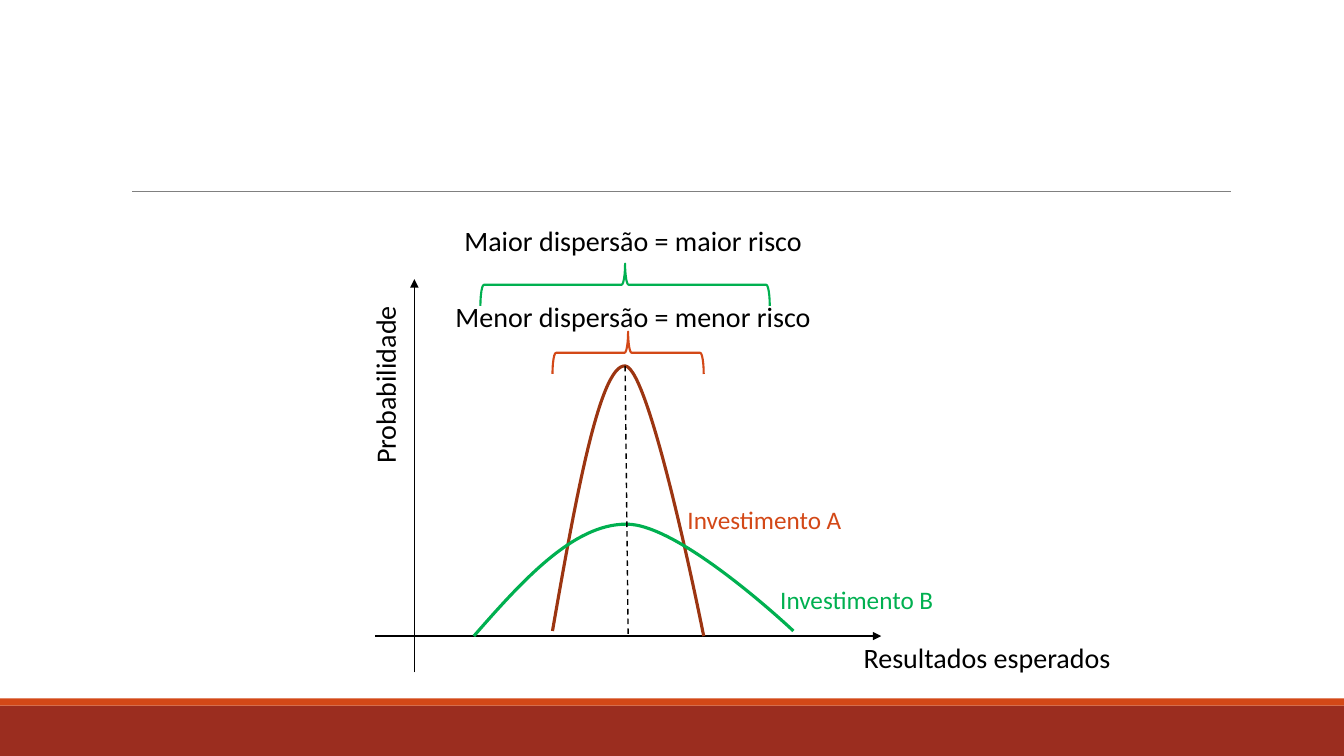
from dataclasses import dataclass

from pptx import Presentation
from pptx.dml.color import RGBColor
from pptx.enum.dml import MSO_LINE
from pptx.enum.shapes import MSO_CONNECTOR, MSO_SHAPE
from pptx.enum.text import MSO_AUTO_SIZE, PP_ALIGN
from pptx.oxml.ns import qn
from pptx.util import Inches, Pt
from lxml.etree import SubElement


@dataclass(frozen=True)
class Theme:
    font: str = "Calibri"
    ink: str = "000000"
    rule: str = "808080"
    band: str = "9B2D1F"
    accent: str = "D34817"
    steep: str = "9C3511"
    green: str = "00B050"
    label: int = 20
    small: int = 18
    thin: float = 0.5
    axis: float = 1
    brace: float = 1.5
    curve: float = 2.25


class Canvas:
    def __init__(self, slide, theme):
        self.shapes = slide.shapes
        self.theme = theme

    def stroke(self, shape, color, width):
        shape.line.color.rgb = RGBColor.from_string(color)
        shape.line.width = Pt(width)

    def bar(self, top, height, color):
        shape = self.shapes.add_shape(
            MSO_SHAPE.RECTANGLE, 0, Inches(top), Inches(13.33), Inches(height))
        shape.shadow.inherit = False
        shape.fill.solid()
        shape.fill.fore_color.rgb = RGBColor.from_string(color)
        shape.line.fill.background()

    def line(self, start, end, color, width, arrow=False, dash=False):
        ends = [Inches(v) for v in (*start, *end)]
        link = self.shapes.add_connector(MSO_CONNECTOR.STRAIGHT, *ends)
        self.stroke(link, color, width)
        if dash:
            link.line.dash_style = MSO_LINE.DASH
        if arrow:
            SubElement(link.line._get_or_add_ln(), qn("a:tailEnd"), type="triangle")
        SubElement(link._element.spPr, qn("a:effectLst"))

    def curve(self, points, color):
        spots = [(Inches(x), Inches(y)) for x, y in points]
        pen = self.shapes.build_freeform(*spots[0])
        pen.add_line_segments(spots[1:], close=False)
        shape = pen.convert_to_shape()
        shape.shadow.inherit = False
        shape.fill.background()
        self.stroke(shape, color, self.theme.curve)
        steps = list(shape._element.iter(qn("a:lnTo")))
        track = steps[0].getparent()
        for i in range(0, len(steps), 3):
            bend = SubElement(track, qn("a:cubicBezTo"))
            for step in steps[i:i + 3]:
                bend.append(step[0])
                track.remove(step)

    def brace(self, left, top, height, color):
        shape = self.shapes.add_shape(
            MSO_SHAPE.RIGHT_BRACE, Inches(left), Inches(top), Inches(0.42), Inches(height))
        shape.rotation = 270
        shape.shadow.inherit = False
        shape.fill.background()
        self.stroke(shape, color, self.theme.brace)

    def text(self, words, box, size, color, align=PP_ALIGN.CENTER, turn=0):
        shape = self.shapes.add_textbox(*[Inches(v) for v in box])
        shape.rotation = turn
        frame = shape.text_frame
        frame.word_wrap = False
        frame.auto_size = MSO_AUTO_SIZE.SHAPE_TO_FIT_TEXT
        para = frame.paragraphs[0]
        para.alignment = align
        run = para.add_run()
        run.text = words
        run.font.name = self.theme.font
        run.font.size = Pt(size)
        run.font.color.rgb = RGBColor.from_string(color)


def main():
    deck = Presentation()
    deck.slide_width = Inches(13.33)
    deck.slide_height = Inches(7.5)
    theme = Theme()
    art = Canvas(deck.slides.add_slide(deck.slide_layouts[6]), theme)

    art.bar(7, 0.5, theme.band)
    art.bar(6.93, 0.07, theme.accent)
    art.line((1.31, 1.9), (12.21, 1.9), theme.rule, theme.thin)

    art.line((4.11, 6.67), (4.11, 2.77), theme.ink, theme.axis, arrow=True)
    art.line((3.72, 6.31), (8.74, 6.31), theme.ink, theme.axis, arrow=True)
    art.curve([(5.48, 6.26), (5.71, 4.94), (5.95, 3.62), (6.2, 3.63),
               (6.45, 3.64), (6.98, 6.31), (6.98, 6.31)], theme.steep)
    art.curve([(4.7, 6.31), (5.19, 5.75), (5.69, 5.2), (6.21, 5.2),
               (6.74, 5.19), (7.87, 6.26), (7.87, 6.26)], theme.green)
    art.text("Probabilidade", (2.93, 3.6, 1.78, 0.44), theme.label, theme.ink, turn=270)
    art.text("Resultados esperados", (8.45, 6.31, 2.68, 0.44), theme.label, theme.ink)
    art.line((6.2, 3.63), (6.23, 6.31), theme.ink, theme.axis, dash=True)

    art.brace(6.02, 2.75, 1.5, theme.accent)
    art.brace(5.99, 1.39, 2.87, theme.green)
    art.text("Menor dispersão = menor risco", (4.4, 2.92, 3.76, 0.44), theme.label, theme.ink)
    art.text("Maior dispersão = maior risco", (4.49, 2.17, 3.58, 0.44), theme.label, theme.ink)
    art.text("Investimento A", (6.72, 4.95, 1.75, 0.4), theme.small, theme.accent, PP_ALIGN.LEFT)
    art.text("Investimento B", (7.64, 5.75, 1.77, 0.4), theme.small, theme.green, PP_ALIGN.LEFT)

    deck.save("out.pptx")


if __name__ == "__main__":
    main()
